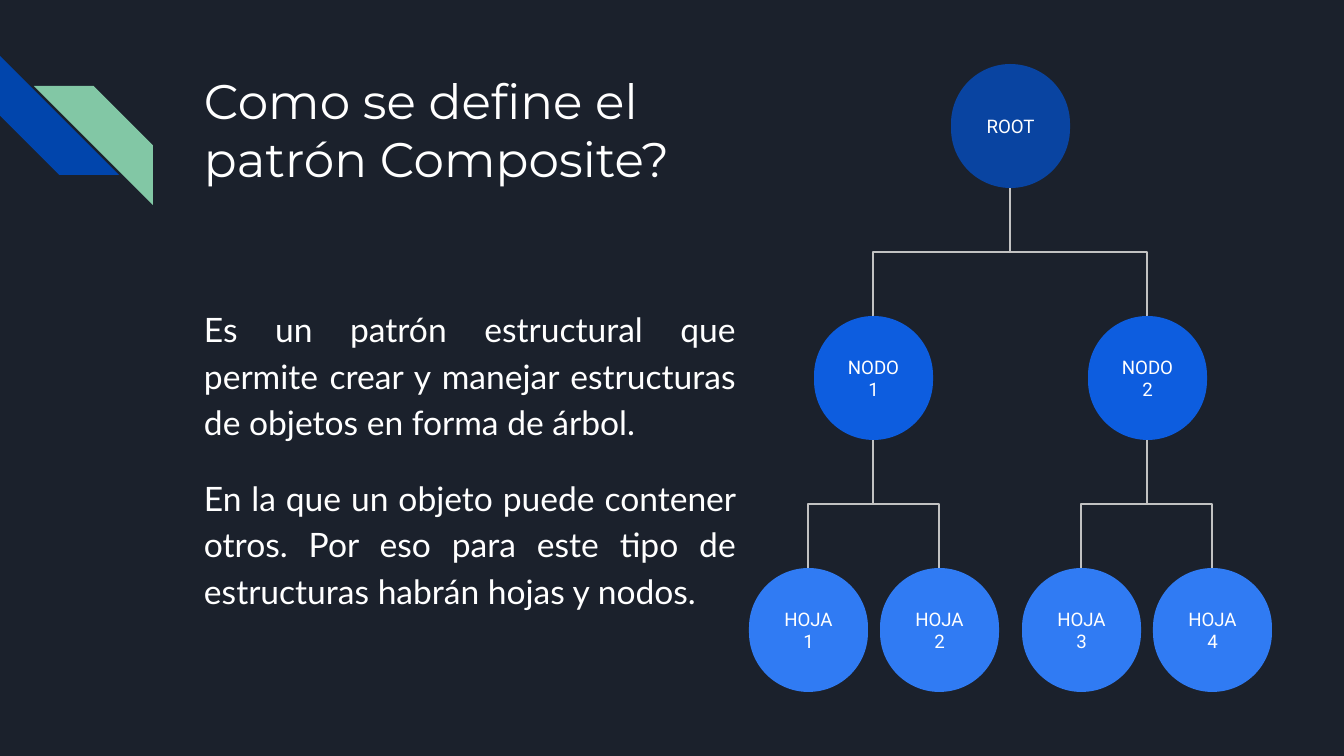
import copy
import dataclasses
import typing

import pptx
import pptx.dml.color
import pptx.enum.shapes
import pptx.enum.text
import pptx.oxml
import pptx.oxml.ns
import pptx.util

EMU_PER_PX = 914400 / 134.4
NODE_WIDTH, NODE_HEIGHT = 119, 124
LEVEL_TOP, LEVEL_STEP = 64, 252
STRIPE_SIZE = 119
INSET = 13

BACKGROUND = pptx.dml.color.RGBColor(0x1B, 0x21, 0x2C)
WHITE = pptx.dml.color.RGBColor(0xFF, 0xFF, 0xFF)
STRIPE_BLUE = pptx.dml.color.RGBColor(0x01, 0x45, 0xAC)
STRIPE_GREEN = pptx.dml.color.RGBColor(0x82, 0xC7, 0xA5)
LINE_GREY = pptx.dml.color.RGBColor(0xC2, 0xC2, 0xC2)
LEVEL_COLORS = (
    pptx.dml.color.RGBColor(0x09, 0x44, 0xA1),
    pptx.dml.color.RGBColor(0x0D, 0x5D, 0xDF),
    pptx.dml.color.RGBColor(0x30, 0x7B, 0xF3),
)


@dataclasses.dataclass(frozen=True)
class Node:
    label: str
    center: int
    level: int
    children: tuple["Node", ...] = ()

    @property
    def top(self) -> int:
        return LEVEL_TOP + self.level * LEVEL_STEP


@dataclasses.dataclass(frozen=True)
class TextBlock:
    left: int
    top: int
    width: int
    height: int
    font: str
    size: int
    paragraphs: tuple[str, ...]
    formats: tuple[dict[str, typing.Any], ...]


TREE = Node("ROOT", 1010, 0, (
    Node("NODO\v1", 873, 1, (Node("HOJA\v1", 808, 2), Node("HOJA\v2", 939, 2))),
    Node("NODO\v2", 1147, 1, (Node("HOJA\v3", 1081, 2), Node("HOJA\v4", 1212, 2))),
))

JUSTIFIED = {"alignment": pptx.enum.text.PP_ALIGN.JUSTIFY, "line_spacing": 1.15}
SPACED = {"space_before": pptx.util.Pt(16), "space_after": pptx.util.Pt(16)}
TEXT_BLOCKS = (
    TextBlock(191, 58, 558, 219, "Montserrat", 26,
              ("Como se define el patrón Composite?",), ({},)),
    TextBlock(191, 290, 558, 355, "Lato", 18, (
        "Es un patrón estructural que permite crear y manejar estructuras "
        "de objetos en forma de árbol.",
        "En la que un objeto puede contener otros. Por eso para este tipo de "
        "estructuras habrán hojas y nodos.",
    ), (JUSTIFIED, JUSTIFIED | SPACED)),
)


def px(length: float) -> int:
    return round(length * EMU_PER_PX)


def set_attributes(target: typing.Any, values: dict[str, typing.Any]) -> None:
    for name, value in values.items():
        setattr(target, name, value)


def set_frame(text_frame: typing.Any, anchor: typing.Any) -> None:
    margins = ("margin_left", "margin_top", "margin_right", "margin_bottom")
    set_attributes(text_frame, dict.fromkeys(margins, px(INSET)))
    set_attributes(text_frame, {"word_wrap": True, "vertical_anchor": anchor})


def write_paragraph(paragraph: typing.Any, text: str, font: str, size: int,
                    formats: dict[str, typing.Any]) -> None:
    paragraph.text = text
    set_attributes(paragraph, formats)
    for run in paragraph.runs:
        set_attributes(run.font, {"name": font, "size": pptx.util.Pt(size)})
        run.font.color.rgb = WHITE
    for line_break in paragraph._p.findall(pptx.oxml.ns.qn("a:br")):
        line_break.append(copy.deepcopy(paragraph.runs[0].font._element))


def add_filled_shape(slide: typing.Any, kind: typing.Any, left: int, top: int,
                     width: int, height: int, color: typing.Any) -> typing.Any:
    shape = slide.shapes.add_shape(kind, px(left), px(top), px(width), px(height))
    shape.shadow.inherit = False
    shape.adjustments[0] = 0.5
    shape.fill.solid()
    shape.fill.fore_color.rgb = color
    shape.line.fill.background()
    return shape


def add_stripes(slide: typing.Any) -> None:
    kind = pptx.enum.shapes.MSO_SHAPE.DIAGONAL_STRIPE
    blue = add_filled_shape(slide, kind, 0, 56, STRIPE_SIZE, STRIPE_SIZE, STRIPE_BLUE)
    blue.rotation = 270
    green = add_filled_shape(slide, kind, 34, 86, STRIPE_SIZE, STRIPE_SIZE, STRIPE_GREEN)
    green._element.spPr.find(pptx.oxml.ns.qn("a:xfrm")).set("flipH", "1")


def add_branch(slide: typing.Any, parent: Node, child: Node) -> None:
    start = parent.top + NODE_HEIGHT
    middle_x, middle_y = (parent.center + child.center) / 2, (start + child.top) / 2
    half_drop, half_span = (child.top - start) / 2, abs(child.center - parent.center) / 2
    side = 1 if child.center > parent.center else -1
    connector = slide.shapes.add_connector(
        pptx.enum.shapes.MSO_CONNECTOR.ELBOW,
        px(middle_x + side * half_drop), px(middle_y - half_span),
        px(middle_x - side * half_drop), px(middle_y + half_span))
    properties = connector._element.spPr
    properties.find(pptx.oxml.ns.qn("a:xfrm")).set("rot", str(270 * 60000))
    connector.line.color.rgb = LINE_GREY
    connector.line.width = pptx.util.Pt(0.75)
    properties.append(pptx.oxml.parse_xml(
        f"<a:effectLst {pptx.oxml.ns.nsdecls('a')}/>"))


def add_tree(slide: typing.Any, node: Node) -> None:
    shape = add_filled_shape(
        slide, pptx.enum.shapes.MSO_SHAPE.ROUNDED_RECTANGLE,
        node.center - NODE_WIDTH // 2, node.top, NODE_WIDTH, NODE_HEIGHT,
        LEVEL_COLORS[node.level])
    set_frame(shape.text_frame, pptx.enum.text.MSO_ANCHOR.MIDDLE)
    write_paragraph(shape.text_frame.paragraphs[0], node.label, "Roboto", 10,
                    {"alignment": pptx.enum.text.PP_ALIGN.CENTER})
    for child in node.children:
        add_branch(slide, node, child)
        add_tree(slide, child)


def add_text_block(slide: typing.Any, block: TextBlock) -> None:
    text_frame = slide.shapes.add_textbox(
        px(block.left), px(block.top), px(block.width), px(block.height)).text_frame
    set_frame(text_frame, pptx.enum.text.MSO_ANCHOR.TOP)
    for index, (text, formats) in enumerate(zip(block.paragraphs, block.formats)):
        paragraph = text_frame.add_paragraph() if index else text_frame.paragraphs[0]
        write_paragraph(paragraph, text, block.font, block.size, formats)


def main() -> None:
    presentation = pptx.Presentation()
    set_attributes(presentation, {"slide_width": px(1344), "slide_height": px(756)})
    slide = presentation.slides.add_slide(presentation.slide_layouts[6])
    slide.background.fill.solid()
    slide.background.fill.fore_color.rgb = BACKGROUND
    add_stripes(slide)
    add_tree(slide, TREE)
    for block in TEXT_BLOCKS:
        add_text_block(slide, block)
    presentation.save("out.pptx")


if __name__ == "__main__":
    main()
